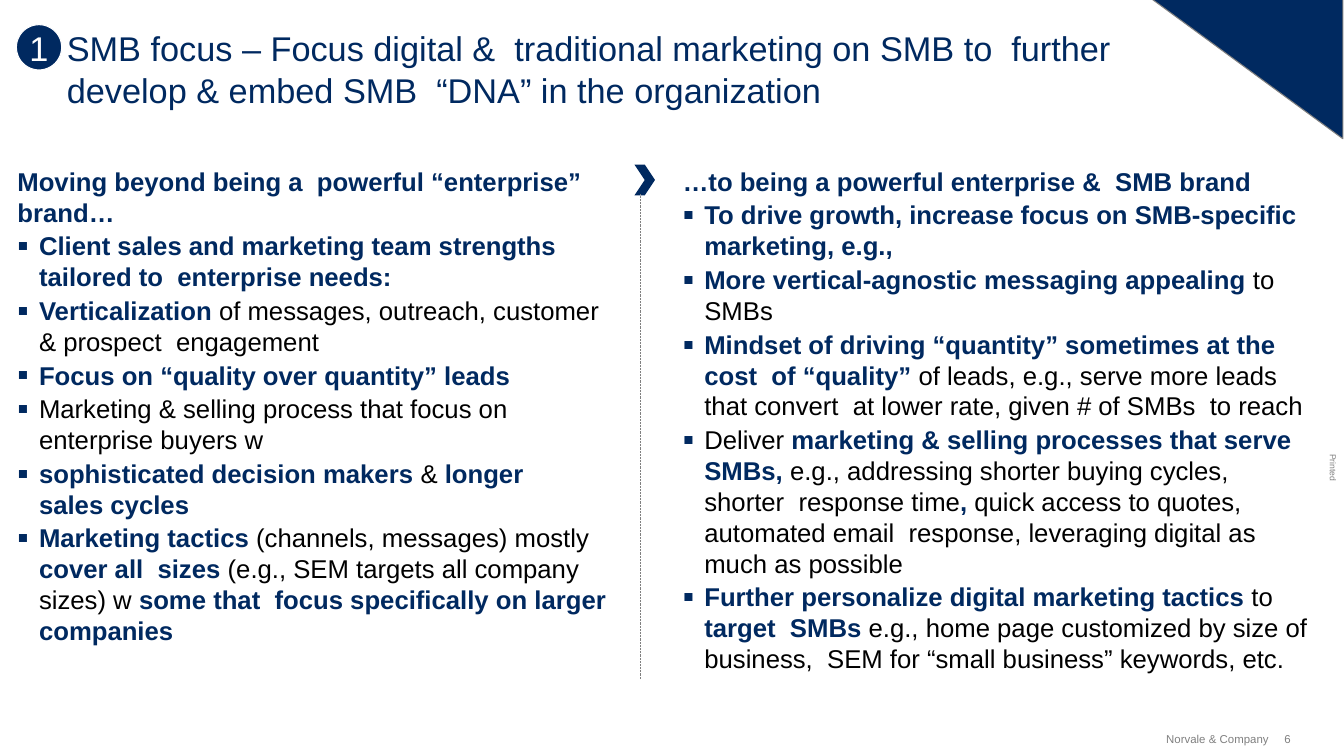
from dataclasses import dataclass

from lxml import etree
from pptx import Presentation
from pptx import util as u
from pptx.dml.color import RGBColor
from pptx.enum import dml, shapes, text
from pptx.oxml import ns

NAVY, GREY, BLACK, WHITE = "002960", "808080", "000000", "FFFFFF"
FONT = "Arial"
INDENT = 0.21


@dataclass
class Box:
    left: float
    top: float
    width: float
    height: float

    def emu(self) -> list[int]:
        return [u.Inches(v) for v in (self.left, self.top, self.width, self.height)]


@dataclass
class Column:
    box: Box
    heading: str
    bullets: list[str]


@dataclass
class Label:
    box: Box
    words: str
    size: float
    rotation: float = 0
    align: text.PP_ALIGN = text.PP_ALIGN.LEFT
    anchor: text.MSO_ANCHOR = text.MSO_ANCHOR.MIDDLE


COLUMNS = [
    Column(Box(0.17, 1.6, 5.73, 4.72), "Moving beyond being a  powerful “enterprise” brand…", [
        "*Client sales and marketing team strengths tailored to  enterprise needs:*",
        "*Verticalization *of messages, outreach, customer & prospect  engagement",
        "*Focus on “quality over quantity” leads*",
        "Marketing & selling process that focus on enterprise buyers w",
        "*sophisticated decision makers *& *longer \nsales cycles*",
        "*Marketing tactics *(channels, messages) mostly *cover all  sizes *(e.g., SEM targets "
        "all company sizes) w *some that  focus specifically on larger companies*",
    ]),
    Column(Box(6.64, 1.6, 6.1, 5), "…to being a powerful enterprise &  SMB brand", [
        "*To drive growth, increase focus on SMB-specific  marketing, e.g.,*",
        "*More vertical-agnostic messaging appealing *to SMBs",
        "*Mindset of driving “quantity” sometimes at the cost  of “quality” *of leads, e.g., "
        "serve more leads that convert  at lower rate, given # of SMBs  to reach",
        "Deliver *marketing & selling processes that serve  SMBs, *e.g., addressing shorter "
        "buying cycles, shorter  response time*, *quick access to quotes, automated email  "
        "response, leveraging digital as much as possible",
        "*Further personalize digital marketing tactics *to *target  SMBs *e.g., home page "
        "customized by size of business,  SEM for “small business” keywords, etc.",
    ]),
]

LABELS = [
    Label(Box(12.83, 4.5, 0.27, 0.1), "Printed", 6, rotation=90, anchor=text.MSO_ANCHOR.TOP),
    Label(Box(12.49, 7.12, 0.14, 0.13), "6", 8),
    Label(Box(11.23, 7.12, 1.11, 0.13), "Norvale & Company", 8, align=text.PP_ALIGN.RIGHT),
]


def rgb(color: str) -> RGBColor:
    return RGBColor.from_string(color)


def add_text(p, words: str, *, size: float = 18, color: str = NAVY, bold: bool = False) -> None:
    for i, part in enumerate(words.split("\n")):
        if i:
            p.add_line_break()
        r = p.add_run()
        r.text = part
        r.font.name, r.font.size, r.font.bold = FONT, u.Pt(size), bold
        r.font.color.rgb = rgb(color)


def set_frame(tf, *, wrap: bool, top: float = 0, anchor=text.MSO_ANCHOR.TOP) -> None:
    tf.margin_left = tf.margin_right = tf.margin_bottom = 0
    tf.margin_top = u.Inches(top)
    tf.word_wrap, tf.vertical_anchor = wrap, anchor


def add_box(slide, box: Box, **frame):
    s = slide.shapes.add_textbox(*box.emu())
    set_frame(s.text_frame, **frame)
    s.text_frame.auto_size = text.MSO_AUTO_SIZE.SHAPE_TO_FIT_TEXT
    return s


def add_shape(slide, kind, box: Box, line: str | None = None):
    s = slide.shapes.add_shape(kind, *box.emu())
    s.shadow.inherit = False
    s.fill.solid()
    s.fill.fore_color.rgb = rgb(NAVY)
    if line:
        s.line.color.rgb, s.line.width = rgb(line), u.Pt(0.75)
    else:
        s.line.fill.background()
    return s


def set_indent(p, left: float, first: float = 0):
    pPr = p._p.get_or_add_pPr()
    pPr.set("marL", str(u.Inches(left)))
    pPr.set("indent", str(u.Inches(first)))
    return pPr


def add_bullet(p) -> None:
    pPr = set_indent(p, INDENT, -INDENT)
    color = etree.SubElement(pPr, ns.qn("a:buClr"))
    etree.SubElement(color, ns.qn("a:srgbClr"), val=NAVY)
    etree.SubElement(pPr, ns.qn("a:buSzPct"), val="125000")
    etree.SubElement(pPr, ns.qn("a:buFont"), typeface=FONT)
    etree.SubElement(pPr, ns.qn("a:buChar"), char="▪")


def add_column(slide, column: Column) -> None:
    tf = add_box(slide, column.box, wrap=True, top=0.01).text_frame
    add_text(tf.paragraphs[0], column.heading, bold=True)
    for bullet in column.bullets:
        p = tf.add_paragraph()
        p.level = 1
        add_bullet(p)
        p.space_before = u.Pt(2)
        for i, words in enumerate(bullet.split("*")):
            if words:
                strong = i % 2 == 1
                add_text(p, words, color=NAVY if strong else BLACK, bold=strong)


def add_label(slide, label: Label) -> None:
    s = add_box(slide, label.box, wrap=False, anchor=label.anchor)
    s.rotation = label.rotation
    p = s.text_frame.paragraphs[0]
    p.alignment = label.align
    add_text(p, label.words, size=label.size, color=GREY)


def add_title(slide) -> None:
    p = add_box(slide, Box(0.17, 0.25, 11.65, 0.83), wrap=True, top=0.01).text_frame.paragraphs[0]
    set_indent(p, 0.48)
    p.line_spacing = 1.02
    add_text(p, "SMB focus – Focus digital &  traditional marketing on SMB to  further develop "
                "& embed SMB  “DNA” in the organization", size=24)
    s = add_shape(slide, shapes.MSO_SHAPE.OVAL, Box(0.16, 0.24, 0.44, 0.44), WHITE)
    set_frame(s.text_frame, wrap=False, anchor=text.MSO_ANCHOR.MIDDLE)
    p = s.text_frame.paragraphs[0]
    p.alignment = text.PP_ALIGN.CENTER
    add_text(p, "1", size=24, color=WHITE)


def add_divider(slide) -> None:
    add_shape(slide, shapes.MSO_SHAPE.CHEVRON, Box(6.17, 1.6, 0.2, 0.3))
    s = slide.shapes.add_connector(
        shapes.MSO_CONNECTOR.STRAIGHT, *[u.Inches(v) for v in (6.23, 1.89, 6.23, 6.6)])
    s.line.color.rgb, s.line.width = rgb(GREY), u.Pt(0.5)
    s.line.dash_style = dml.MSO_LINE.ROUND_DOT
    etree.SubElement(s._element.spPr, ns.qn("a:effectLst"))


def main() -> None:
    prs = Presentation()
    prs.slide_width, prs.slide_height = u.Inches(13.07), u.Inches(7.35)
    slide = prs.slides.add_slide(prs.slide_layouts[6])
    corner = add_shape(slide, shapes.MSO_SHAPE.ISOSCELES_TRIANGLE, Box(11.2, -0.01, 1.86, 1.36), GREY)
    corner.adjustments[0] = 1
    corner._element.spPr.xfrm.set("flipV", "1")
    for label in LABELS:
        add_label(slide, label)
    add_title(slide)
    add_divider(slide)
    for column in COLUMNS:
        add_column(slide, column)
    prs.save("out.pptx")


if __name__ == "__main__":
    main()
